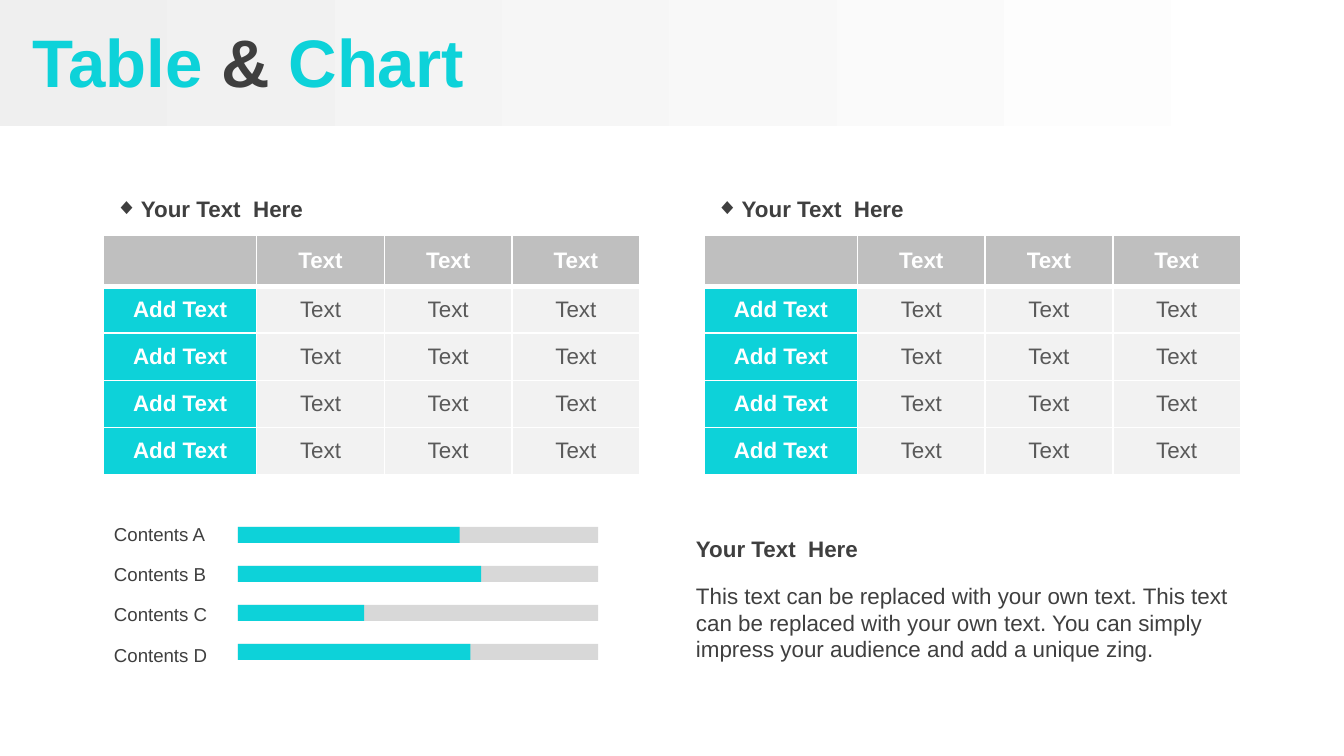
from lxml.etree import SubElement
from pptx import Presentation
from pptx.dml.color import RGBColor
from pptx.enum.shapes import MSO_SHAPE as SHAPE
from pptx.enum.text import MSO_ANCHOR as ANCHOR, MSO_AUTO_SIZE as AUTO_SIZE, PP_ALIGN as ALIGN
from pptx.oxml.ns import qn
from pptx.util import Inches, Pt

FONT = "Arial"
CYAN = RGBColor(0x0D, 0xD2, 0xD9)
DARK = RGBColor(0x3F, 0x3F, 0x3F)
TEXT_GRAY = RGBColor(0x59, 0x59, 0x59)
HEADER_GRAY = RGBColor(0xBF, 0xBF, 0xBF)
TRACK_GRAY = RGBColor(0xD8, 0xD8, 0xD8)
BAND_GRAY = RGBColor(0xEF, 0xEF, 0xEF)
CELL_GRAY = RGBColor(0xF2, 0xF2, 0xF2)
WHITE = RGBColor(0xFF, 0xFF, 0xFF)

HEADING = "Your Text  Here"
BODY = ("This text can be replaced with your own text. This text can be replaced "
        "with your own text. You can simply impress your audience and add a unique zing.")
TABLE_ROWS = [["", "Text", "Text", "Text"]] + [["Add Text", "Text", "Text", "Text"]] * 4
COLUMN_WIDTHS = [1.14, 0.95, 0.95, 0.95]
ROW_HEIGHTS = [0.38, 0.35, 0.35, 0.35, 0.35]
BARS = [("Contents A", 1.65), ("Contents B", 1.81), ("Contents C", 0.94), ("Contents D", 1.73)]
BAR_LEFT, BAR_WIDTH = 1.77, 2.68


def format_run(r, size, color, bold=False):
    r.font.name = FONT
    r.font.size = Pt(size)
    r.font.bold = bold
    r.font.color.rgb = color


def add_rect(slide, left, top, width, height):
    sp = slide.shapes.add_shape(SHAPE.RECTANGLE, Inches(left), Inches(top),
                                Inches(width), Inches(height))
    sp.shadow.inherit = False
    sp.line.fill.background()
    return sp


def add_bar(slide, top, width, color):
    sp = add_rect(slide, BAR_LEFT, top, width, 0.12)
    sp.fill.solid()
    sp.fill.fore_color.rgb = color


def add_text(slide, left, top, width, height, text, size=12, bold=False):
    box = slide.shapes.add_textbox(Inches(left), Inches(top), Inches(width), Inches(height))
    tf = box.text_frame
    tf.word_wrap = True
    p = tf.paragraphs[0]
    p.text = text
    format_run(p.runs[0], size, DARK, bold)
    return p


def add_bullet(p, char, indent):
    pPr = p._p.get_or_add_pPr()
    pPr.set("marL", str(Inches(indent)))
    pPr.set("indent", str(-Inches(indent)))
    color = SubElement(pPr, qn("a:buClr"))
    SubElement(color, qn("a:srgbClr"), val=str(DARK))
    SubElement(pPr, qn("a:buFont"), typeface=FONT)
    SubElement(pPr, qn("a:buChar"), char=char)


def set_borders(cell, is_header, below_header):
    """Draw white cell borders, thick between the header and the body."""
    tcPr = cell._tc.get_or_add_tcPr()
    widths = {"a:lnL": 1, "a:lnR": 1, "a:lnT": 3 if below_header else 1,
              "a:lnB": 3 if is_header else 1}
    for i, (tag, width) in enumerate(widths.items()):
        ln = SubElement(tcPr, qn(tag), w=str(Pt(width)))
        fill = SubElement(ln, qn("a:solidFill"))
        SubElement(fill, qn("a:srgbClr"), val=str(WHITE))
        tcPr.insert(i, ln)


def format_cell(cell, text, row, col):
    is_header, is_label = row == 0, col == 0
    cell.fill.solid()
    cell.fill.fore_color.rgb = HEADER_GRAY if is_header else CYAN if is_label else CELL_GRAY
    set_borders(cell, is_header, row == 1)
    cell.vertical_anchor = ANCHOR.MIDDLE
    p = cell.text_frame.paragraphs[0]
    p.alignment = ALIGN.CENTER
    if text:
        strong = is_header or is_label
        p.text = text
        format_run(p.runs[0], 12, WHITE if strong else TEXT_GRAY, strong)
    else:
        SubElement(p._p, qn("a:endParaRPr"), sz="1200")


def add_table(slide, left, top):
    frame = slide.shapes.add_table(len(ROW_HEIGHTS), len(COLUMN_WIDTHS), Inches(left), Inches(top),
                                   Inches(sum(COLUMN_WIDTHS)), Inches(sum(ROW_HEIGHTS)))
    table = frame.table
    for column, width in zip(table.columns, COLUMN_WIDTHS):
        column.width = Inches(width)
    for row, height in zip(table.rows, ROW_HEIGHTS):
        row.height = Inches(height)
    for i, texts in enumerate(TABLE_ROWS):
        for j, text in enumerate(texts):
            format_cell(table.cell(i, j), text, i, j)


def add_title_band(slide):
    """Put a gradient band behind everything else."""
    band = add_rect(slide, 0, 0, 9.96, 0.94)
    band.fill.gradient()
    band.fill.gradient_angle = 0
    for stop, color in zip(band.fill.gradient_stops, (BAND_GRAY, WHITE)):
        stop.color.rgb = color
    slide.shapes._spTree.insert(2, band._element)


def set_title(slide):
    title = slide.shapes.title
    title.left, title.top = Inches(0), Inches(0.03)
    title.width, title.height = Inches(10), Inches(0.85)
    tf = title.text_frame
    tf.auto_size = AUTO_SIZE.NONE
    tf.vertical_anchor = ANCHOR.MIDDLE
    p = tf.paragraphs[0]
    p.alignment = ALIGN.LEFT
    for text, color in ((" Table ", CYAN), ("& ", DARK), ("Chart", CYAN)):
        r = p.add_run()
        r.text = text
        format_run(r, 36, color, True)


def add_bar_list(slide):
    for i, (label, width) in enumerate(BARS):
        add_text(slide, 0.75, 3.84 + 0.3 * i, 0.93, 0.27, label, size=10)
        top = 3.92 + 0.29 * i
        add_bar(slide, top, BAR_WIDTH, TRACK_GRAY)
        add_bar(slide, top, width, CYAN)


def main():
    prs = Presentation()
    prs.slide_width = Inches(10)
    prs.slide_height = prs.slide_width * 9 // 16
    slide = prs.slides.add_slide(prs.slide_layouts[5])
    add_title_band(slide)
    set_title(slide)
    for left in (0.77, 5.24):
        heading = add_text(slide, left - 0.01, 1.4, 1.82, 0.3, HEADING, bold=True)
        add_bullet(heading, "◆", 0.19)
        add_table(slide, left, 1.75)
    add_bar_list(slide)
    add_text(slide, 5.08, 3.93, 4.21, 0.3, HEADING, bold=True)
    add_text(slide, 5.08, 4.28, 4.21, 0.71, BODY)
    prs.save("out.pptx")


if __name__ == "__main__":
    main()
